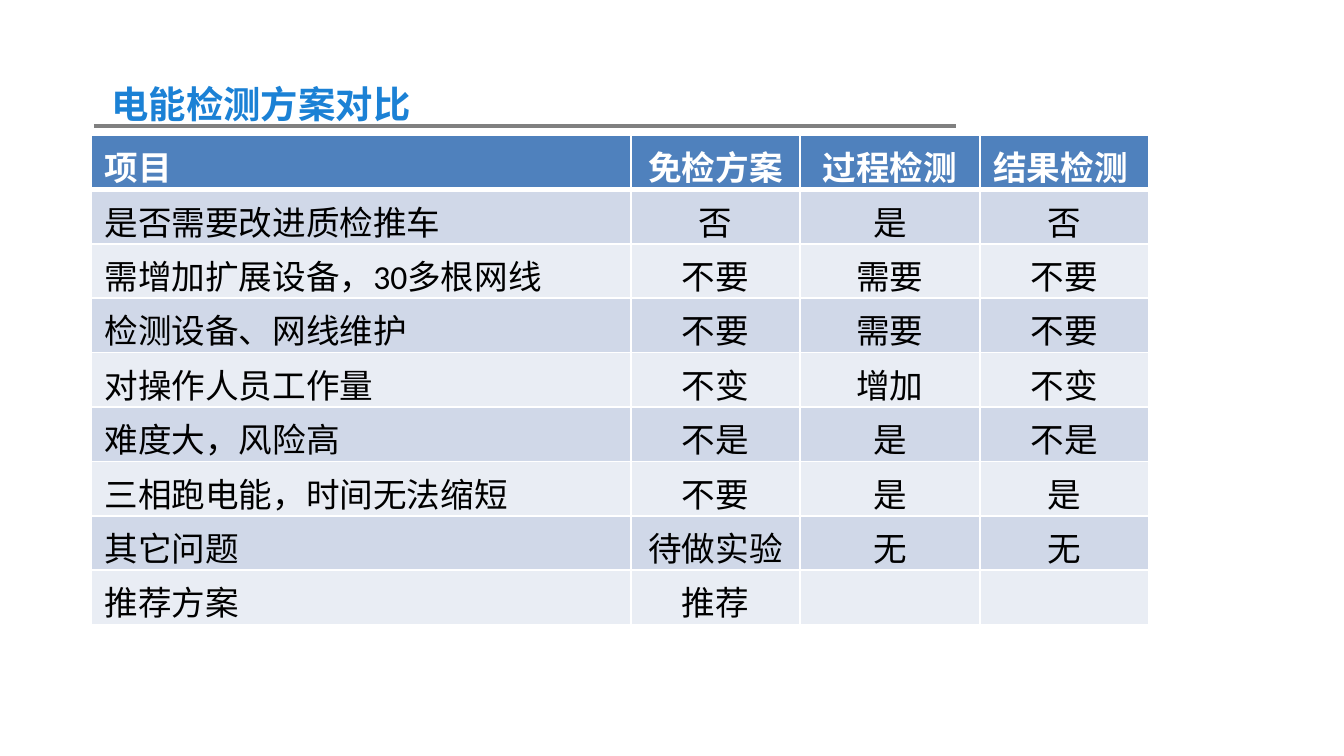
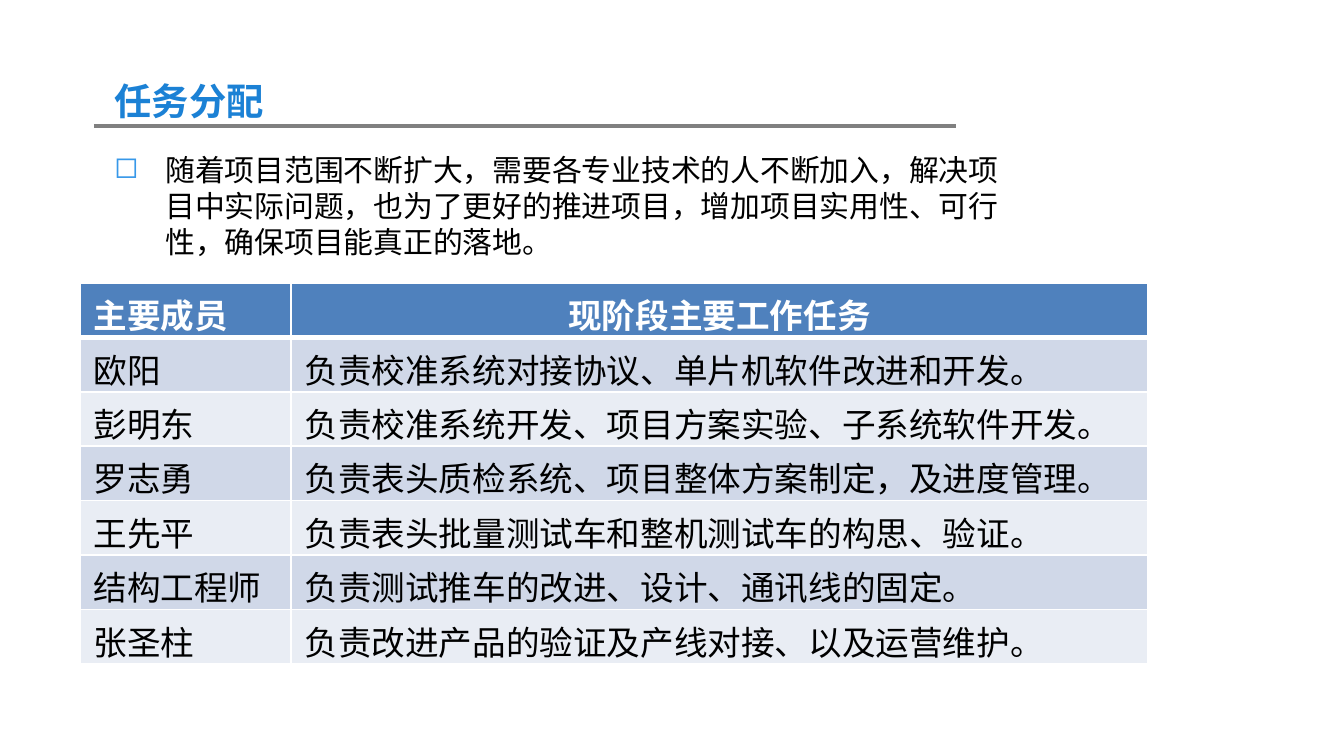
import dataclasses

import pptx
import pptx.dml.color
import pptx.enum.shapes
import pptx.enum.text
import pptx.oxml
import pptx.oxml.ns
import pptx.util

EMU_PER_PIXEL = 914400 / 134.4
PAGE_SIZE = (1344, 756)
TITLE_ONLY = 5
ALIGN = {"l": pptx.enum.text.PP_ALIGN.LEFT, "c": pptx.enum.text.PP_ALIGN.CENTER}


@dataclasses.dataclass(frozen=True)
class Theme:
    font: str = "Calibri"
    title: str = "1B81D5"
    rule: str = "808080"
    text: str = "000000"
    bullet: str = "3798E9"
    header: str = "4F81BD"
    header_text: str = "FFFFFF"
    bands: tuple = ("D0D8E8", "E9EDF4")
    border: str = "FFFFFF"
    title_size: int = 20
    body_size: int = 16
    table_size: int = 18
    rule_width: float = 1.75
    border_width: int = 1
    header_border_width: int = 3


def emu(pixels):
    return pptx.util.Emu(round(pixels * EMU_PER_PIXEL))


def rgb(color):
    return pptx.dml.color.RGBColor.from_string(color)


def element(xml):
    namespace = pptx.oxml.ns.nsdecls("a")
    return pptx.oxml.parse_xml(xml.replace("/>", f" {namespace}/>", 1)
                               if xml.endswith("/>") and xml.count("<") == 1
                               else xml.replace(">", f" {namespace}>", 1))


class SlideBuilder:
    def __init__(self, deck, theme):
        self.deck = deck
        self.theme = theme
        self.page = None

    def new_page(self, title, left, top):
        """Start a slide with its rule and title."""
        self.page = self.deck.slides.add_slide(self.deck.slide_layouts[TITLE_ONLY])
        self.rule((94, 126), (956, 126))
        box = self.page.shapes.title
        box.left, box.top, box.width, box.height = map(emu, (left, top, 344, 59))
        self.text_frame(box.text_frame, title, self.theme.title_size,
                        self.theme.title, bold=True)

    def rule(self, start, end):
        line = self.page.shapes.add_connector(
            pptx.enum.shapes.MSO_CONNECTOR.STRAIGHT, *map(emu, start + end))
        line.line.color.rgb = rgb(self.theme.rule)
        line.line.width = pptx.util.Pt(self.theme.rule_width)
        line._element.spPr.append(element("<a:effectLst/>"))

    def span(self, para, text, size, color, bold=False):
        span = para.add_run()
        span.text = text
        span.font.name = self.theme.font
        span.font.size = pptx.util.Pt(size)
        span.font.bold = bold
        span.font.color.rgb = rgb(color)

    def text_frame(self, frame, text, size, color, bold=False):
        frame.word_wrap = True
        frame.auto_size = pptx.enum.text.MSO_AUTO_SIZE.SHAPE_TO_FIT_TEXT
        frame.vertical_anchor = pptx.enum.text.MSO_ANCHOR.TOP
        para = frame.paragraphs[0]
        para.alignment = ALIGN["l"]
        self.span(para, text, size, color, bold)
        return para

    def bullet_text(self, text, left, top, width, height, indent):
        box = self.page.shapes.add_textbox(*map(emu, (left, top, width, height)))
        para = self.text_frame(box.text_frame, text, self.theme.body_size, self.theme.text)
        properties = para._p.get_or_add_pPr()
        properties.set("marL", str(emu(indent)))
        properties.set("indent", str(-emu(indent)))
        properties.append(element(
            f'<a:buClr><a:srgbClr val="{self.theme.bullet}"/></a:buClr>'))
        properties.append(element('<a:buChar char="◻"/>'))

    def borders(self, cell, top, bottom):
        """Draw all four cell borders; the side borders are always thin."""
        side = self.theme.border_width
        properties = cell._tc.get_or_add_tcPr()
        widths = {"lnL": side, "lnR": side, "lnT": top, "lnB": bottom}
        for position, (tag, width) in enumerate(widths.items()):
            properties.insert(position, element(
                f'<a:{tag} w="{pptx.util.Pt(width)}"><a:solidFill>'
                f'<a:srgbClr val="{self.theme.border}"/></a:solidFill></a:{tag}>'))

    def table(self, left, top, height, columns, header_align, body_align, rows):
        theme = self.theme
        table = self.page.shapes.add_table(
            len(rows), len(columns),
            *map(emu, (left, top, sum(columns), height))).table
        for column, width in zip(table.columns, columns):
            column.width = emu(width)
        for number, texts in enumerate(rows):
            table.rows[number].height = emu(height / len(rows))
            is_header = number == 0
            fill = theme.header if is_header else theme.bands[(number - 1) % 2]
            color = theme.header_text if is_header else theme.text
            upper = theme.header_border_width if number == 1 else theme.border_width
            lower = theme.header_border_width if is_header else theme.border_width
            aligns = header_align if is_header else body_align
            for position, (text, align) in enumerate(zip(texts, aligns)):
                cell = table.cell(number, position)
                cell.fill.solid()
                cell.fill.fore_color.rgb = rgb(fill)
                self.borders(cell, upper, lower)
                para = cell.text_frame.paragraphs[0]
                para.alignment = ALIGN[align]
                if text:
                    self.span(para, text, theme.table_size, color, is_header)


deck = pptx.Presentation()
deck.slide_width, deck.slide_height = map(emu, PAGE_SIZE)
builder = SlideBuilder(deck, Theme())

# Slide 1: comparison of the test schemes
builder.new_page("电能检测方案对比", 98, 74)
builder.table(91, 135, 490, (540, 169, 180, 169), "lccl", "lccc", [
    ("项目", "免检方案", "过程检测", "结果检测"),
    ("是否需要改进质检推车", "否", "是", "否"),
    ("需增加扩展设备，30多根网线", "不要", "需要", "不要"),
    ("检测设备、网线维护", "不要", "需要", "不要"),
    ("对操作人员工作量", "不变", "增加", "不变"),
    ("难度大，风险高", "不是", "是", "不是"),
    ("三相跑电能，时间无法缩短", "不要", "是", "是"),
    ("其它问题", "待做实验", "无", "无"),
    ("推荐方案", "推荐", "", ""),
])

# Slide 2: who does what
builder.new_page("任务分配", 101, 71)
builder.table(80, 283, 381, (211, 857), "lc", "ll", [
    ("主要成员", "现阶段主要工作任务"),
    ("欧阳", "负责校准系统对接协议、单片机软件改进和开发。"),
    ("彭明东", "负责校准系统开发、项目方案实验、子系统软件开发。"),
    ("罗志勇", "负责表头质检系统、项目整体方案制定，及进度管理。"),
    ("王先平", "负责表头批量测试车和整机测试车的构思、验证。"),
    ("结构工程师", "负责测试推车的改进、设计、通讯线的固定。"),
    ("张圣柱", "负责改进产品的验证及产线对接、以及运营维护。"),
])
builder.bullet_text(
    "随着项目范围不断扩大，需要各专业技术的人不断加入，解决项目中实际问题，"
    "也为了更好的推进项目，增加项目实用性、可行性，确保项目能真正的落地。",
    101, 145, 913, 122, indent=51)

deck.save("out.pptx")
